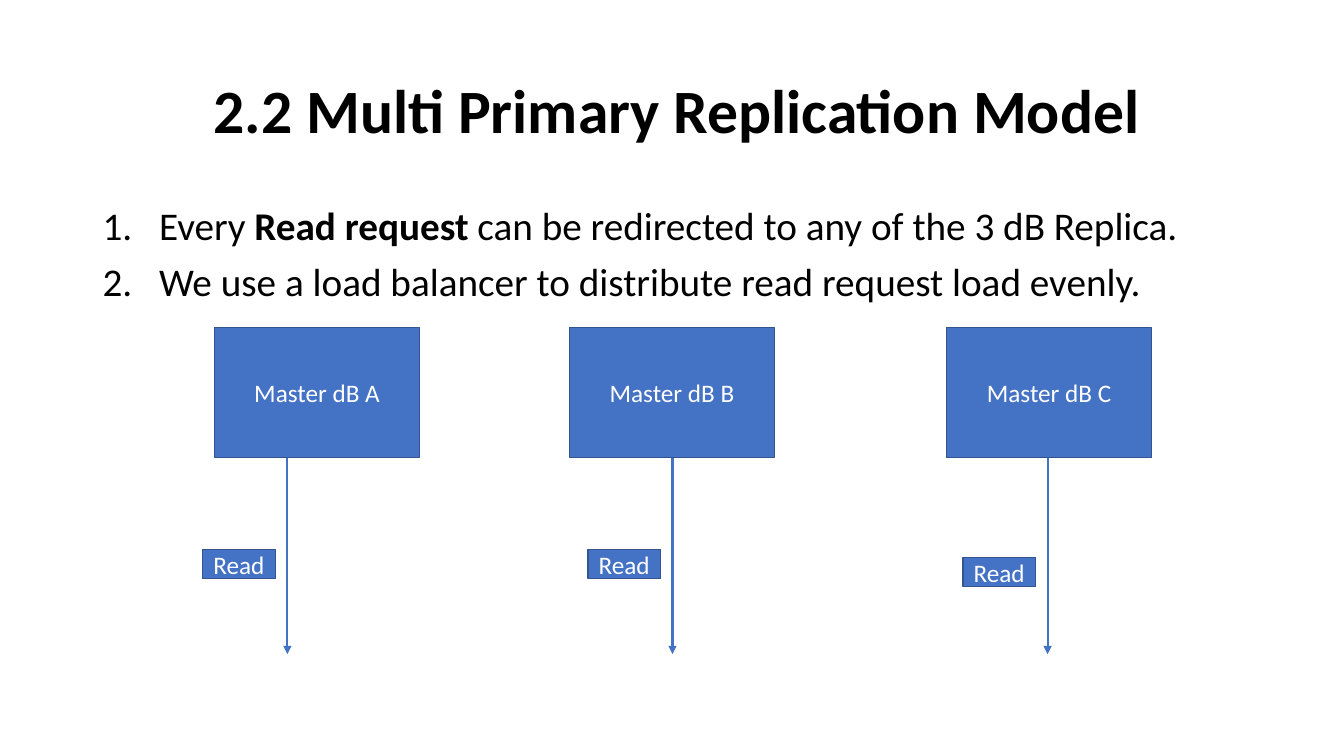
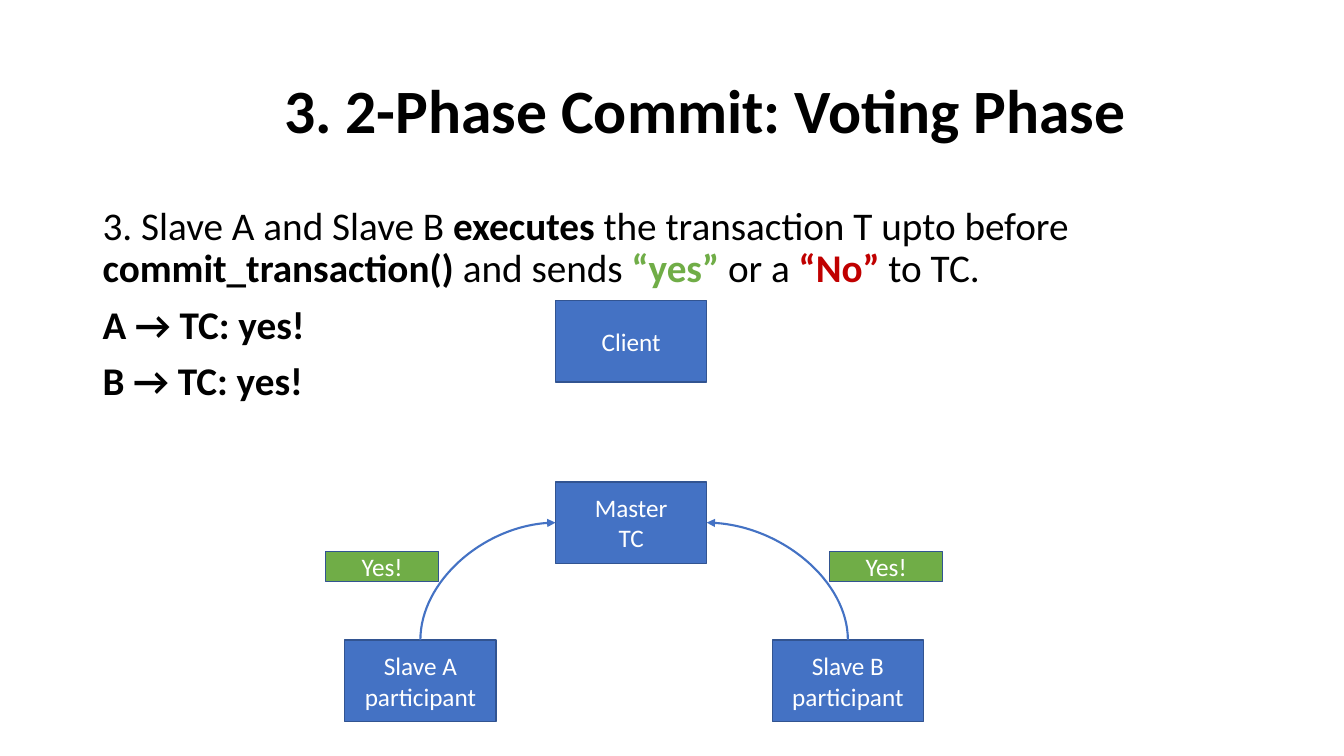
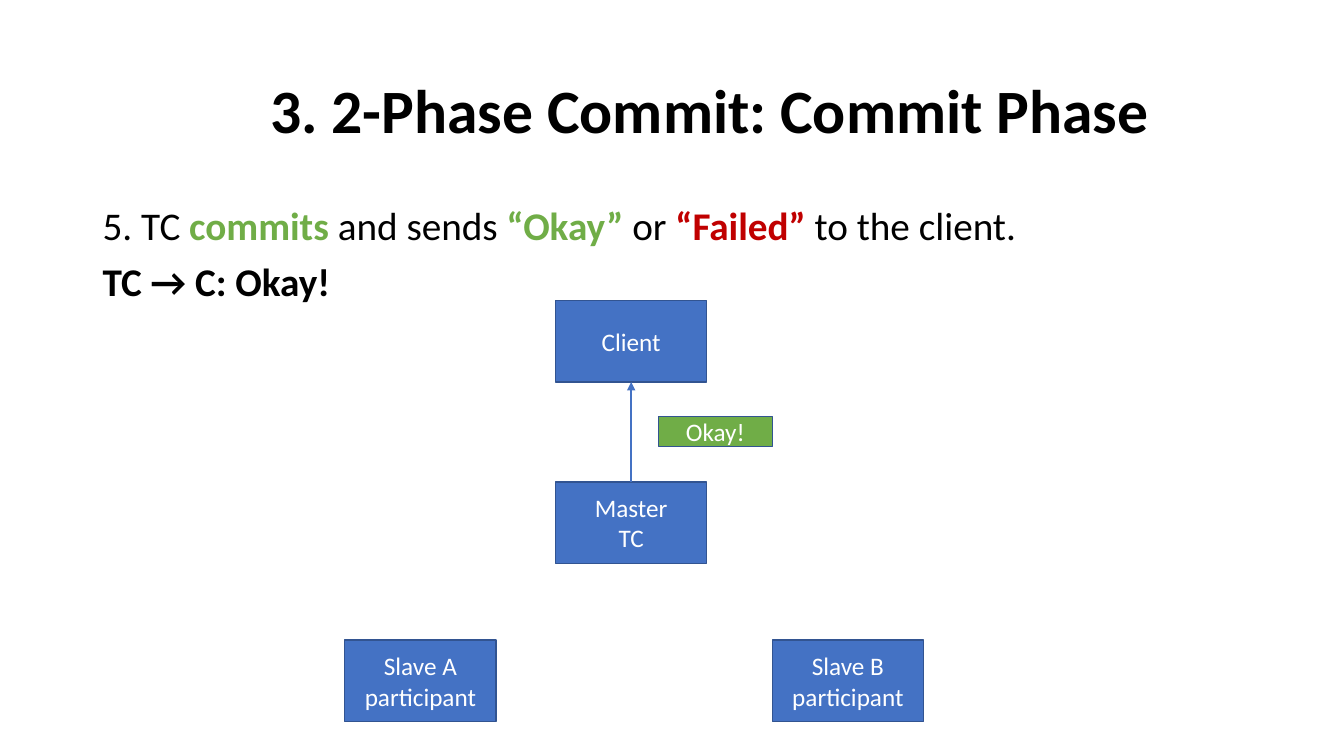
from dataclasses import dataclass

from lxml.etree import SubElement
from pptx import Presentation
from pptx.dml.color import RGBColor
from pptx.enum.shapes import MSO_CONNECTOR, MSO_SHAPE
from pptx.enum.text import MSO_ANCHOR, PP_ALIGN
from pptx.oxml.ns import qn
from pptx.shapes.autoshape import Shape
from pptx.shapes.connector import Connector
from pptx.slide import Slide
from pptx.util import Inches, Pt

FONT = "Calibri"
BLACK, WHITE = "000000", "FFFFFF"
BLUE, EDGE = "4472C4", "325491"
GREEN, RED = "70AD47", "C00000"
TOP, LEFT, BOTTOM, RIGHT = range(4)


@dataclass(frozen=True)
class Span:
    """A stretch of body text in one format."""
    text: str
    bold: bool = False
    color: str = BLACK


@dataclass(frozen=True)
class Box:
    """A labelled rectangle, measured in inches."""
    text: str
    x: float
    y: float
    w: float = 1.5
    h: float = 0.81
    fill: str = BLUE


@dataclass(frozen=True)
class Replica:
    """A database with its read arrow and read label."""
    name: str
    x: float
    arrow_x: float
    label_y: float


CLIENT = Box("Client", 5.51, 2.98)
MASTER = Box("Master\nTC", 5.51, 4.78)
SLAVE_A = Box("Slave A\nparticipant", 3.42, 6.35)
SLAVE_B = Box("Slave B\nparticipant", 7.66, 6.35)

REPLICAS = [
    Replica("Master dB A", 2.13, 2.85, 5.45),
    Replica("Master dB B", 5.65, 6.67, 5.45),
    Replica("Master dB C", 9.39, 10.39, 5.53),
]


def rgb(color: str) -> RGBColor:
    """Turn a hex string into a colour."""
    return RGBColor.from_string(color)


def add_run(p, text: str, *, size: float, bold: bool = False, color: str = BLACK) -> None:
    """Append formatted text to a paragraph."""
    r = p.add_run()
    r.text = text
    r.font.name = FONT
    r.font.size = Pt(size)
    r.font.bold = bold
    r.font.color.rgb = rgb(color)


def add_title(s: Slide, text: str, indent: float) -> None:
    """Add the slide title, indented from the left margin."""
    tf = s.shapes.add_textbox(Inches(0.92), Inches(0.4), Inches(11.5), Inches(1.45)).text_frame
    tf.word_wrap = True
    tf.vertical_anchor = MSO_ANCHOR.MIDDLE
    p = tf.paragraphs[0]
    p.line_spacing = 0.9
    p._p.get_or_add_pPr().set("marL", str(Inches(indent)))
    add_run(p, text, size=44, bold=True)


def add_body(s: Slide, paragraphs: list[list[Span]], numbered: bool = False) -> None:
    """Add the body text, optionally as a numbered list."""
    tf = s.shapes.add_textbox(Inches(0.92), Inches(2), Inches(11.5), Inches(4.76)).text_frame
    tf.word_wrap = True
    for i, spans in enumerate(paragraphs):
        p = tf.add_paragraph() if i else tf.paragraphs[0]
        p.line_spacing = 0.9
        if i:
            p.space_before = Pt(10)
        if numbered:
            pPr = p._p.get_or_add_pPr()
            pPr.set("marL", str(Inches(0.56)))
            pPr.set("indent", str(Inches(-0.56)))
            SubElement(pPr, qn("a:buAutoNum"), type="arabicPeriod")
        for span in spans:
            add_run(p, span.text, size=28, bold=span.bold, color=span.color)


def add_box(s: Slide, box: Box) -> Shape:
    """Draw a labelled rectangle."""
    sp = s.shapes.add_shape(
        MSO_SHAPE.RECTANGLE, Inches(box.x), Inches(box.y), Inches(box.w), Inches(box.h)
    )
    sp.shadow.inherit = False
    sp.fill.solid()
    sp.fill.fore_color.rgb = rgb(box.fill)
    sp.line.color.rgb = rgb(EDGE)
    sp.line.width = Pt(1)
    tf = sp.text_frame
    tf.vertical_anchor = MSO_ANCHOR.MIDDLE
    for i, line in enumerate(box.text.split("\n")):
        p = tf.add_paragraph() if i else tf.paragraphs[0]
        p.alignment = PP_ALIGN.CENTER
        add_run(p, line, size=18, color=WHITE)
    return sp


def style_arrow(c: Connector, end: str) -> None:
    """Give a connector its line and an arrowhead at one end."""
    c.line.color.rgb = rgb(BLUE)
    c.line.width = Pt(1.5)
    spPr = c._element.spPr
    SubElement(spPr.find(qn("a:ln")), qn(f"a:{end}"), type="triangle")
    SubElement(spPr, qn("a:effectLst"))


def link(s: Slide, start: Shape, start_site: int, stop: Shape, stop_site: int) -> Connector:
    """Join two boxes with a straight connector."""
    c = s.shapes.add_connector(MSO_CONNECTOR.STRAIGHT, 0, 0, 0, 0)
    c.begin_connect(start, start_site)
    c.end_connect(stop, stop_site)
    return c


def add_vote(s: Slide, master: Shape, side: int, slave: Shape) -> None:
    """Draw a curved arrow from a slave's top to a side of the master."""
    c = link(s, master, side, slave, TOP)
    c._element.spPr.find(qn("a:prstGeom")).set("prst", "curvedConnector2")
    style_arrow(c, "headEnd")


def new_slide(prs: Presentation, title: str, indent: float) -> Slide:
    """Add a blank slide with a title."""
    s = prs.slides.add_slide(prs.slide_layouts[6])
    add_title(s, title, indent)
    return s


def add_cluster(s: Slide) -> list[Shape]:
    """Draw the client, the master and both slaves."""
    return [add_box(s, box) for box in (CLIENT, MASTER, SLAVE_A, SLAVE_B)]


def build_replication(prs: Presentation) -> None:
    """Build the multi primary replication slide."""
    s = new_slide(prs, "2.2 Multi Primary Replication Model", 1.1)
    add_body(s, [
        [Span("Every "), Span("Read request ", True),
         Span("can be redirected to any of the 3 dB Replica.")],
        [Span("We use a load balancer to distribute read request load evenly.")],
    ], numbered=True)
    for rep in REPLICAS:
        add_box(s, Box(rep.name, rep.x, 3.25, 2.03, 1.29))
        x = Inches(rep.arrow_x)
        c = s.shapes.add_connector(MSO_CONNECTOR.STRAIGHT, x, Inches(4.54), x, Inches(6.49))
        style_arrow(c, "tailEnd")
        add_box(s, Box("Read", rep.arrow_x - 0.84, rep.label_y, 0.72, 0.29))


def build_voting(prs: Presentation) -> None:
    """Build the voting phase slide."""
    s = new_slide(prs, "3. 2-Phase Commit: Voting Phase", 1.8)
    add_body(s, [
        [Span("3. Slave A and Slave B "), Span("executes", True),
         Span(" the transaction T upto before "), Span("commit_transaction() ", True),
         Span("and sends "), Span("“yes” ", True, GREEN), Span("or a "),
         Span("“No” ", True, RED), Span("to TC.")],
        [Span("A → TC: yes!", True)],
        [Span("B → TC: yes!", True)],
    ])
    _, master, slave_a, slave_b = add_cluster(s)
    for x, side, slave in ((3.23, LEFT, slave_a), (8.23, RIGHT, slave_b)):
        add_box(s, Box("Yes!", x, 5.47, 1.12, 0.3, GREEN))
        add_vote(s, master, side, slave)


def build_commit(prs: Presentation) -> None:
    """Build the commit phase slide."""
    s = new_slide(prs, "3. 2-Phase Commit: Commit Phase", 1.66)
    add_body(s, [
        [Span("5. TC "), Span("commits", True, GREEN), Span(" and sends "),
         Span("“Okay” ", True, GREEN), Span("or "), Span("“Failed”", True, RED),
         Span(" to the client.")],
        [Span("TC → C: Okay!", True)],
    ])
    client, master, _, _ = add_cluster(s)
    style_arrow(link(s, master, TOP, client, BOTTOM), "tailEnd")
    add_box(s, Box("Okay!", 6.53, 4.13, 1.13, 0.3, GREEN))


def main() -> None:
    """Build and save the presentation."""
    prs = Presentation()
    prs.slide_width, prs.slide_height = Inches(13.33), Inches(7.5)
    build_replication(prs)
    build_voting(prs)
    build_commit(prs)
    prs.save("out.pptx")


if __name__ == "__main__":
    main()
